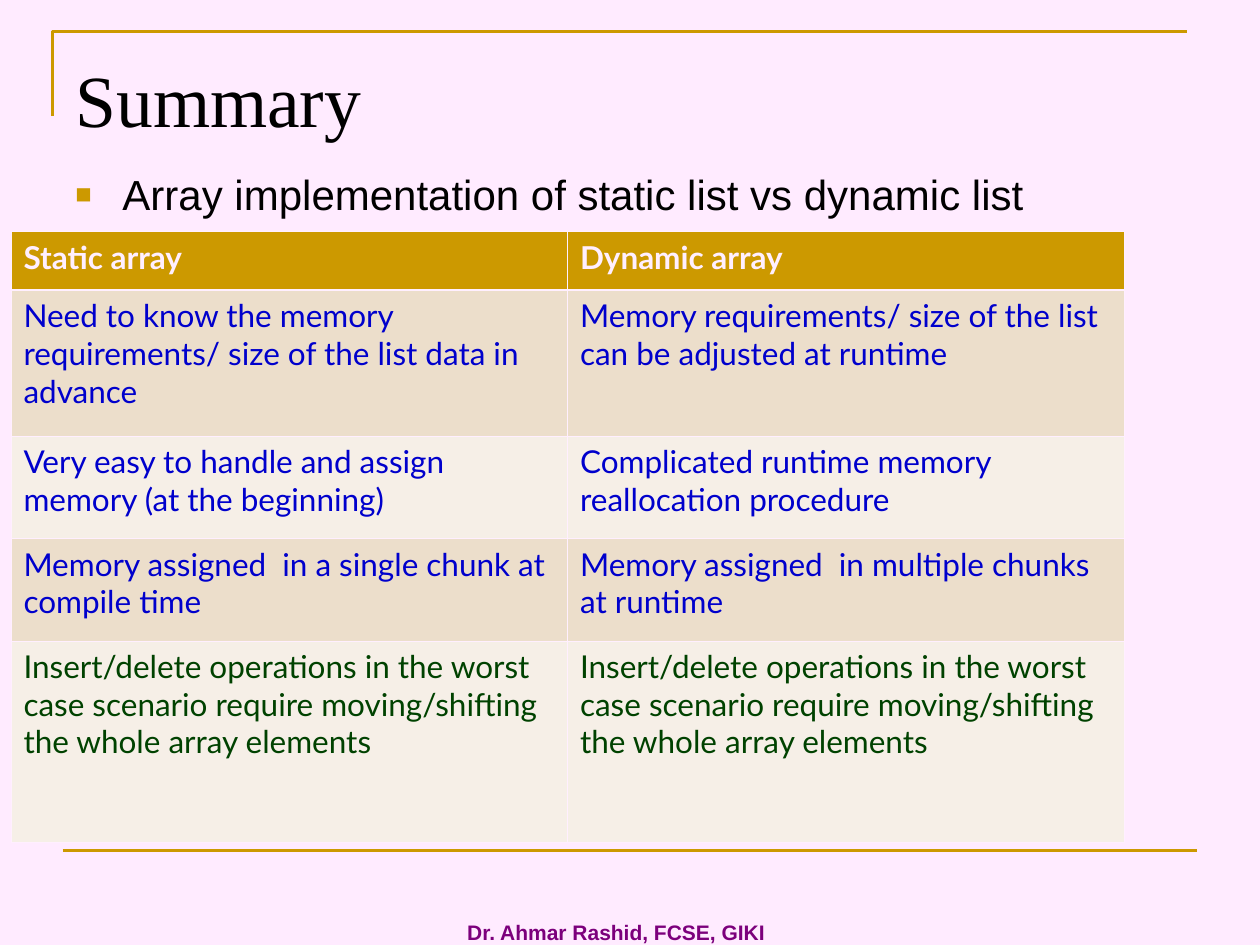
import pptx
import pptx.util
import pptx.dml.color
import pptx.enum.dml
import pptx.enum.shapes
import pptx.enum.text
from dataclasses import dataclass
from lxml import etree
from pptx.oxml.ns import qn
from pptx.util import Cm, Pt


@dataclass(frozen=True)
class Theme:
    background: str = "FFEBFF"
    accent: str = "CC9900"
    text: str = "000000"
    footer: str = "7C007C"
    border: str = "FFEFFF"
    bands: tuple = ("ECDECB", "F6EFE7")
    blue: str = "0000CC"
    green: str = "004200"
    title_font: str = "Times New Roman"
    body_font: str = "Arial"
    table_font: str = "Lato"
    title_size: int = 42
    body_size: int = 24
    table_size: int = 18
    footer_size: int = 12
    rule_width: float = 1.5
    border_width: float = 0.45
    header_border_width: float = 1.47


T = Theme()
ROWS = [
    (1.18, T.border, "Static array", "Dynamic array"),
    (2.95, T.blue, "Need to know the memory requirements/ size of the list data in advance",
     "Memory requirements/ size of the list can be adjusted at runtime"),
    (2.06, T.blue, "Very easy to handle and assign memory (at the beginning)",
     "Complicated runtime memory reallocation procedure"),
    (2.06, T.blue, "Memory assigned  in a single chunk at compile time",
     "Memory assigned  in multiple chunks at runtime"),
    (4.06, T.green) + ("Insert/delete operations in the worst case scenario "
                       "require moving/shifting the whole array elements",) * 2,
]


def rgb(color):
    return pptx.dml.color.RGBColor.from_string(color)


def add_run(p, text, font, size, color, bold=False):
    r = p.add_run()
    r.text = text
    r.font.name = font
    r.font.size = Pt(size)
    r.font.bold = bold
    r.font.color.rgb = rgb(color)


def style_rule(sp):
    sp.line.color.rgb = rgb(T.accent)
    sp.line.width = Pt(T.rule_width)


def draw_frame(s, x, y, w, h):
    tick = 1.7
    fb = s.shapes.build_freeform(Cm(x), Cm(y + tick))
    fb.add_line_segments([(Cm(x), Cm(y)), (Cm(x + w), Cm(y))], close=False)
    corner = fb.convert_to_shape()
    corner.fill.background()
    corner.shadow.inherit = False
    style_rule(corner)
    left, bottom = x + 0.2, y + h
    line = s.shapes.add_connector(pptx.enum.shapes.MSO_CONNECTOR.STRAIGHT,
                                  Cm(left), Cm(bottom), Cm(left + w), Cm(bottom))
    style_rule(line)
    etree.SubElement(line._element.spPr, qn("a:effectLst"))


def draw_footer(s, x, y, w, h):
    tf = s.shapes.add_textbox(Cm(x), Cm(y), Cm(w), Cm(h)).text_frame
    tf.word_wrap = False
    tf.auto_size = pptx.enum.text.MSO_AUTO_SIZE.SHAPE_TO_FIT_TEXT
    add_run(tf.paragraphs[0], "Dr. Ahmar Rashid, FCSE, GIKI",
            T.body_font, T.footer_size, T.footer, True)


def place_title(s, x, y, w, h):
    sp = s.shapes.title
    sp.left, sp.top, sp.width, sp.height = Cm(x), Cm(y), Cm(w), Cm(h)
    tf = sp.text_frame
    tf.auto_size = pptx.enum.text.MSO_AUTO_SIZE.NONE
    tf.vertical_anchor = pptx.enum.text.MSO_ANCHOR.TOP
    tf.margin_top = Cm(0.32)
    p = tf.paragraphs[0]
    p.alignment = pptx.enum.text.PP_ALIGN.LEFT
    add_run(p, "Summary", T.title_font, T.title_size, T.text)


def draw_bullet(s, x, y, w, h):
    tf = s.shapes.add_textbox(Cm(x), Cm(y), Cm(w), Cm(h)).text_frame
    tf.word_wrap = True
    tf.margin_top = Cm(0.22)
    p = tf.paragraphs[0]
    pPr = p._p.get_or_add_pPr()
    pPr.set("marL", str(Cm(0.95)))
    pPr.set("indent", str(-Cm(0.95)))
    color = etree.SubElement(pPr, qn("a:buClr"))
    etree.SubElement(color, qn("a:srgbClr"), val=T.accent)
    etree.SubElement(pPr, qn("a:buSzPct"), val="65000")
    etree.SubElement(pPr, qn("a:buFont"), typeface=T.body_font)
    etree.SubElement(pPr, qn("a:buChar"), char="■")
    add_run(p, "Array implementation of static list vs dynamic list",
            T.body_font, T.body_size, T.text)


def set_borders(cell, top, bottom):
    tcPr = cell._tc.get_or_add_tcPr()
    widths = {"lnL": T.border_width, "lnR": T.border_width, "lnT": top, "lnB": bottom}
    for side, width in widths.items():
        ln = etree.SubElement(tcPr, qn("a:" + side), w=str(Pt(width)))
        fill = etree.SubElement(ln, qn("a:solidFill"))
        etree.SubElement(fill, qn("a:srgbClr"), val=T.border)


def draw_comparison(s, x, y, w):
    h = sum(row[0] for row in ROWS)
    tbl = s.shapes.add_table(len(ROWS), 2, Cm(x), Cm(y), Cm(w), Cm(h)).table
    for col in tbl.columns:
        col.width = Cm(w / 2)
    for i, (height, color, *texts) in enumerate(ROWS):
        tbl.rows[i].height = Cm(height)
        for j, text in enumerate(texts):
            cell = tbl.cell(i, j)
            set_borders(cell,
                        T.header_border_width if i == 1 else T.border_width,
                        T.header_border_width if i == 0 else T.border_width)
            cell.fill.solid()
            cell.fill.fore_color.rgb = rgb(T.bands[(i - 1) % 2] if i else T.accent)
            add_run(cell.text_frame.paragraphs[0], text,
                    T.table_font, T.table_size, color, i == 0)


def main():
    prs = pptx.Presentation()
    prs.slide_width, prs.slide_height = Cm(25.4), Cm(19.05)
    s = prs.slides.add_slide(prs.slide_layouts[5])
    s.background.fill.solid()
    s.background.fill.fore_color.rgb = rgb(T.background)
    draw_frame(s, 1.06, 0.64, 22.86, 16.5)
    draw_footer(s, 9.17, 18.41, 6.55, 0.76)
    place_title(s, 1.27, 0.76, 22.86, 3.18)
    draw_bullet(s, 1.27, 3.18, 22.86, 2.33)
    draw_comparison(s, 0.22, 4.67, 22.44)
    prs.save("out.pptx")


if __name__ == "__main__":
    main()
